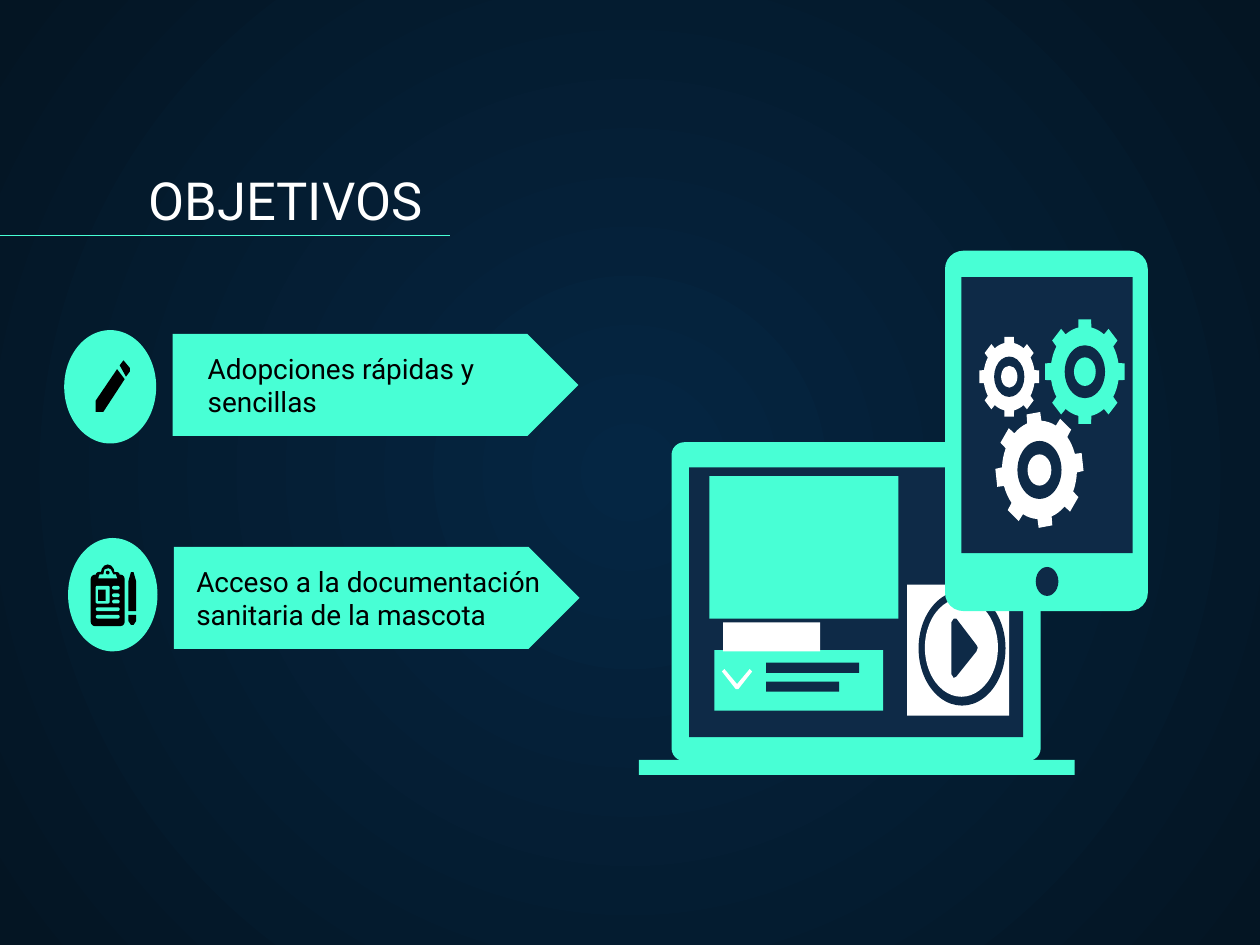
"""Build the objectives slide with its two arrow labels and device illustration."""
import math
from dataclasses import dataclass

import pptx
import pptx.dml.color
import pptx.enum.shapes
import pptx.enum.text
import pptx.oxml
import pptx.oxml.ns
import pptx.util
from pptx.util import Inches

Color = pptx.dml.color.RGBColor
Kind = pptx.enum.shapes.MSO_SHAPE
Box = tuple[float, float, float, float]
Point = tuple[float, float]


@dataclass(frozen=True)
class Theme:
    """Colours, font and type sizes."""
    mint: Color = Color(0x48, 0xFF, 0xD5)
    navy: Color = Color(0x0E, 0x2A, 0x47)
    white: Color = Color(0xFF, 0xFF, 0xFF)
    black: Color = Color(0, 0, 0)
    glow: Color = Color(0x05, 0x26, 0x43)
    night: Color = Color(0x04, 0x15, 0x23)
    font: str = "Roboto"
    title_size: int = 30
    label_size: int = 16


@dataclass(frozen=True)
class Objective:
    """One arrow label and its round badge."""
    text: str
    arrow_left: float
    arrow_top: float
    text_left: float
    text_width: float
    badge: Box


@dataclass(frozen=True)
class Gear:
    """One gear, stretched to its two radii."""
    center: Point
    radii: Point
    color: Color
    turn: float = 0


THEME = Theme()
OBJECTIVES = (
    Objective("Adopciones rápidas y sencillas", 1.37, 2.65, 1.55, 2.88, (0.51, 2.62, 0.73, 0.9)),
    Objective("Acceso a la documentación sanitaria de la mascota", 1.38, 4.34, 1.46, 3.06,
              (0.54, 4.27, 0.71, 0.9)),
)
GEARS = (
    Gear((8.61, 2.95), (0.32, 0.42), THEME.mint),
    Gear((8.01, 2.99), (0.24, 0.32), THEME.white),
    Gear((8.25, 3.73), (0.35, 0.46), THEME.white, -8),
)


def paint(shape, color: Color) -> None:
    """Give a shape a plain fill without line or shadow."""
    shape.shadow.inherit = False
    shape.fill.solid()
    shape.fill.fore_color.rgb = color
    shape.line.fill.background()


def draw(slide, kind, box: Box, color: Color, rounding: float | None = None) -> None:
    """Add a preset shape."""
    shape = slide.shapes.add_shape(kind, *map(Inches, box))
    if rounding is not None:
        shape.adjustments[0] = rounding
    paint(shape, color)


def draw_outline(slide, points: list[Point], color: Color) -> None:
    """Add a filled polygon."""
    start, *rest = [(Inches(x), Inches(y)) for x, y in points]
    builder = slide.shapes.build_freeform(*start)
    builder.add_line_segments(rest, close=True)
    paint(builder.convert_to_shape(), color)


def write(frame, text: str, size: int, color: Color) -> None:
    """Write one bottom-anchored run."""
    frame.word_wrap = True
    frame.auto_size = pptx.enum.text.MSO_AUTO_SIZE.NONE
    frame.vertical_anchor = pptx.enum.text.MSO_ANCHOR.BOTTOM
    frame.margin_left = frame.margin_right = Inches(0.1)
    frame.margin_top = frame.margin_bottom = Inches(0.1)
    paragraph = frame.paragraphs[0]
    paragraph.alignment = pptx.enum.text.PP_ALIGN.LEFT
    paragraph.line_spacing = 1.0
    run = paragraph.add_run()
    run.text = text
    run.font.name = THEME.font
    run.font.size = pptx.util.Pt(size)
    run.font.color.rgb = color


def draw_background(slide) -> None:
    """Fill the background with a radial gradient."""
    fill = slide.background.fill
    fill.gradient()
    for stop, color in zip(fill.gradient_stops, (THEME.glow, THEME.night)):
        stop.color.rgb = color
    linear = next(slide._element.iter(pptx.oxml.ns.qn("a:lin")))
    radial = pptx.oxml.parse_xml(
        f'<a:path {pptx.oxml.ns.nsdecls("a")} path="circle">'
        '<a:fillToRect l="50000" t="50000" r="50000" b="50000"/></a:path>')
    linear.getparent().replace(linear, radial)


def draw_title(slide) -> None:
    """Place the title and the rule below it."""
    title = slide.shapes.title
    title.left, title.top, title.width, title.height = map(Inches, (1.08, 1.05, 8.57, 0.88))
    write(title.text_frame, "OBJETIVOS", THEME.title_size, THEME.white)
    rule = slide.shapes.add_connector(pptx.enum.shapes.MSO_CONNECTOR.STRAIGHT,
                                      Inches(0), Inches(1.87), Inches(3.57), Inches(1.87))
    rule.line.color.rgb = THEME.mint
    rule.line.width = pptx.util.Pt(0.75)
    rule._element.spPr.append(
        pptx.oxml.parse_xml(f'<a:effectLst {pptx.oxml.ns.nsdecls("a")}/>'))


def draw_objective(slide, item: Objective) -> None:
    """Draw an arrow, its label and its badge."""
    draw(slide, Kind.PENTAGON, (item.arrow_left, item.arrow_top, 3.22, 0.81), THEME.mint, 0.5)
    label = slide.shapes.add_textbox(Inches(item.text_left), Inches(item.arrow_top + 0.02),
                                     Inches(item.text_width), Inches(0.75))
    write(label.text_frame, item.text, THEME.label_size, THEME.black)
    draw(slide, Kind.OVAL, item.badge, THEME.mint)


def draw_pencil(slide) -> None:
    """Draw the pencil icon."""
    draw_outline(slide, [(0.98, 2.86), (0.95, 2.9), (1, 2.99), (1.03, 2.95), (1.03, 2.92)],
                 THEME.black)
    draw_outline(slide, [(0.93, 2.93), (0.76, 3.18), (0.76, 3.27), (0.82, 3.27), (0.99, 3.01)],
                 THEME.black)


def draw_clipboard(slide) -> None:
    """Draw the clipboard and pen icon."""
    draw(slide, Kind.ROUNDED_RECTANGLE, (0.72, 4.56, 0.27, 0.41), THEME.black, 0.13)
    draw(slide, Kind.ROUNDED_RECTANGLE, (0.76, 4.54, 0.19, 0.06), THEME.black, 0.4)
    draw(slide, Kind.OVAL, (0.8, 4.48, 0.11, 0.14), THEME.black)
    draw_outline(slide, [(0.78, 4.59), (0.79, 4.56), (0.82, 4.56), (0.83, 4.52), (0.86, 4.51),
                         (0.88, 4.52), (0.9, 4.56), (0.92, 4.56), (0.93, 4.59)], THEME.mint)
    draw(slide, Kind.OVAL, (0.84, 4.53, 0.03, 0.03), THEME.black)
    draw(slide, Kind.ROUNDED_RECTANGLE, (0.76, 4.65, 0.11, 0.14), THEME.mint, 0.1)
    draw(slide, Kind.RECTANGLE, (0.78, 4.68, 0.06, 0.09), THEME.black)
    short_rows = [(0.89, top, 0.06) for top in (4.65, 4.71, 4.76)]
    long_rows = [(0.76, top, 0.19) for top in (4.82, 4.88)]
    for left, top, width in short_rows + long_rows:
        draw(slide, Kind.ROUNDED_RECTANGLE, (left, top, width, 0.03), THEME.mint, 0.5)
    draw_outline(slide, [(1.04, 4.54), (1.06, 4.54), (1.08, 4.61), (1.08, 4.85), (1.02, 4.85),
                         (1.02, 4.61)], THEME.black)
    draw_outline(slide, [(1.02, 4.88), (1.08, 4.88), (1.08, 4.93), (1.06, 4.96), (1.04, 4.96),
                         (1.02, 4.93)], THEME.black)


def draw_laptop(slide) -> None:
    """Draw the laptop and the page on its screen."""
    draw(slide, Kind.ROUNDED_RECTANGLE, (5.33, 3.51, 2.93, 2.53), THEME.mint, 0.04)
    for box, color in (
        ((5.47, 3.71, 2.65, 2.14), THEME.navy),
        ((5.07, 6.03, 3.46, 0.12), THEME.mint),
        ((5.63, 3.78, 1.5, 1.13), THEME.mint),
        ((5.67, 5.16, 1.34, 0.48), THEME.mint),
        ((6.08, 5.26, 0.74, 0.08), THEME.navy),
        ((6.08, 5.41, 0.58, 0.08), THEME.navy),
        ((5.74, 4.94, 0.77, 0.23), THEME.white),
        ((7.2, 4.64, 0.81, 1.04), THEME.white),
    ):
        draw(slide, Kind.RECTANGLE, box, color)
    draw_outline(slide, [(5.75, 5.31), (5.85, 5.43), (5.95, 5.31), (5.97, 5.33), (5.86, 5.47),
                         (5.84, 5.47), (5.73, 5.33)], THEME.white)
    draw(slide, Kind.OVAL, (7.29, 4.69, 0.69, 0.91), THEME.navy)
    draw(slide, Kind.OVAL, (7.34, 4.75, 0.58, 0.78), THEME.white)
    draw_outline(slide, [(7.55, 4.94), (7.57, 4.91), (7.59, 4.91), (7.75, 5.12), (7.76, 5.14),
                         (7.75, 5.17), (7.59, 5.37), (7.57, 5.38), (7.55, 5.35)], THEME.navy)


def draw_gear(slide, gear: Gear) -> None:
    """Draw an eight-toothed gear with its hole and hub."""
    (x, y), (rx, ry) = gear.center, gear.radii
    points = []
    for tooth in range(8):
        for reach, offset in ((0.85, -11), (1, -9), (1, 9), (0.85, 11), (0.85, 17), (0.85, 22.5),
                              (0.85, 28)):
            angle = math.radians(tooth * 45 + offset + gear.turn)
            points.append((x + rx * reach * math.sin(angle), y - ry * reach * math.cos(angle)))
    draw_outline(slide, points, gear.color)
    for share, color in ((0.5, THEME.navy), (0.27, gear.color)):
        draw(slide, Kind.OVAL, (x - rx * share, y - ry * share, 2 * rx * share, 2 * ry * share),
             color)


def draw_phone(slide) -> None:
    """Draw the phone with its gears."""
    draw(slide, Kind.ROUNDED_RECTANGLE, (7.5, 1.99, 1.61, 2.86), THEME.mint, 0.09)
    draw(slide, Kind.RECTANGLE, (7.63, 2.2, 1.36, 2.19), THEME.navy)
    draw(slide, Kind.OVAL, (8.22, 4.5, 0.18, 0.23), THEME.navy)
    for gear in GEARS:
        draw_gear(slide, gear)


def main() -> None:
    """Build and save the slide."""
    deck = pptx.Presentation()
    deck.slide_width, deck.slide_height = Inches(10), Inches(7.5)
    slide = deck.slides.add_slide(deck.slide_layouts[5])
    draw_background(slide)
    draw_title(slide)
    for item in OBJECTIVES:
        draw_objective(slide, item)
    for illustrate in (draw_pencil, draw_clipboard, draw_laptop, draw_phone):
        illustrate(slide)
    deck.save("out.pptx")


if __name__ == "__main__":
    main()
